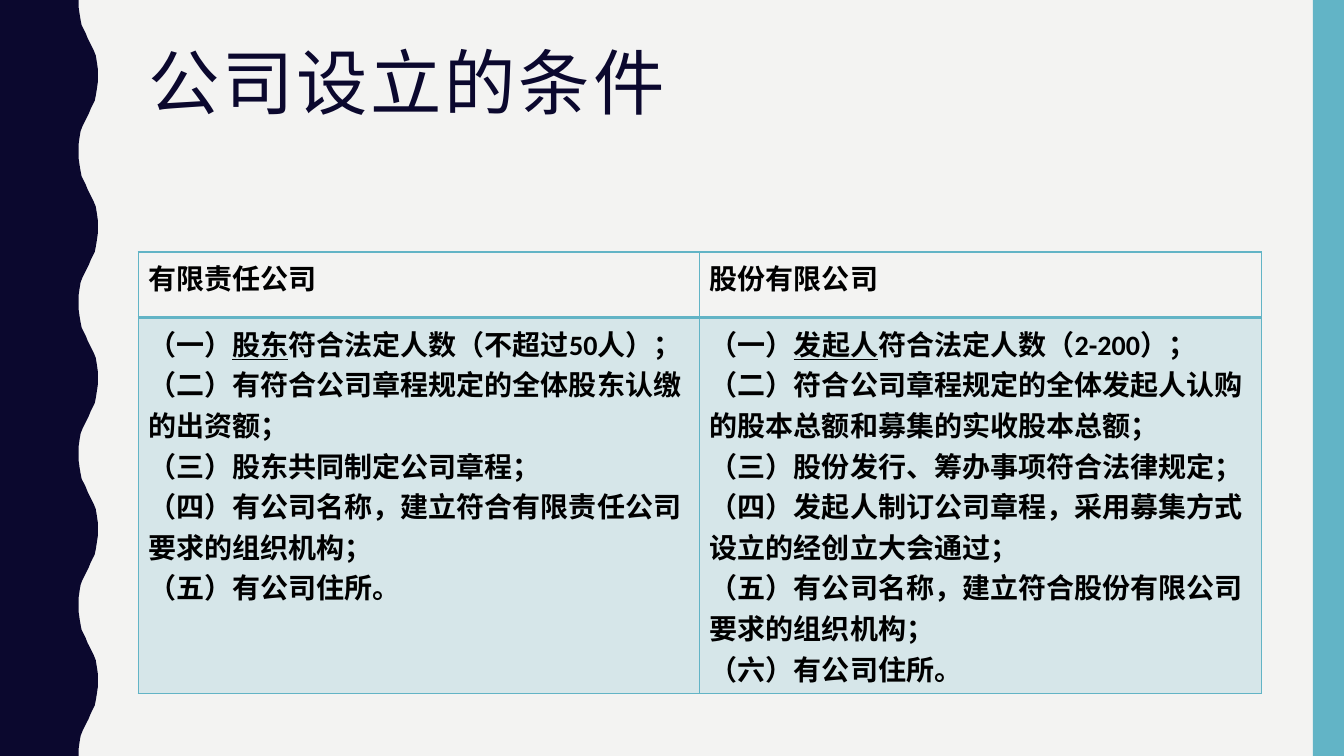
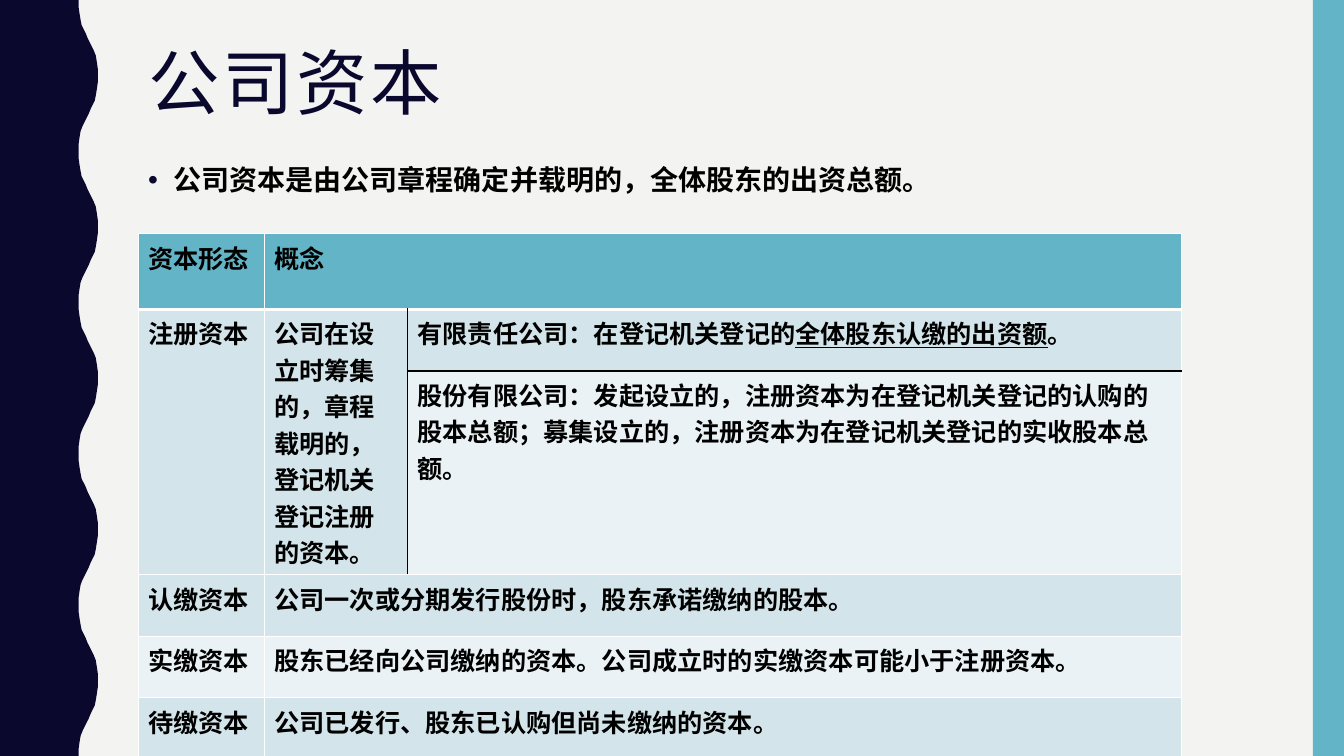
from lxml import etree
from pptx import Presentation
from pptx import util as u
from pptx.dml.color import RGBColor
from pptx.enum import shapes, text
from pptx.oxml.ns import qn

PX = 9144  # EMU per px, at 100 px to the inch
SLIDE_W, SLIDE_H = 1333, 750

NAVY, TEAL, PAPER = "0B082E", "62B4C6", "F3F3F2"
BLACK, WHITE = "000000", "FFFFFF"
BAND_DARK, BAND_LIGHT = "D3E5EA", "EAF2F5"
TITLE_FONT, BODY_FONT = "Roboto Condensed", "Calibri"

TITLE_BOX = (137, 42, 1113, 163)
BODY_BOX = (137, 153, 1113, 393)
# Half a wave of the left band: (distance from the trough, distance down)
HALF_WAVE = [(0, 0), (0, 7), (1, 14), (2, 20), (3, 25), (5, 29), (7, 33), (9, 38),
             (11, 42), (13, 46), (15, 50), (17, 55), (18, 61), (19, 68)]
HALF_LENGTH, TROUGH, CREST = 75, 78, 97

# Text between bars is underlined
CONDITIONS = [
    [["有限责任公司"], ["股份有限公司"]],
    [["（一）|股东|符合法定人数（不超过50人）；",
      "（二）有符合公司章程规定的全体股东认缴的出资额；",
      "（三）股东共同制定公司章程；",
      "（四）有公司名称，建立符合有限责任公司要求的组织机构；",
      "（五）有公司住所。"],
     ["（一）|发起人|符合法定人数（2-200）；",
      "（二）符合公司章程规定的全体发起人认购的股本总额和募集的实收股本总额；",
      "（三）股份发行、筹办事项符合法律规定；",
      "（四）发起人制订公司章程，采用募集方式设立的经创立大会通过；",
      "（五）有公司名称，建立符合股份有限公司要求的组织机构；",
      "（六）有公司住所。"]],
]
CAPITAL_FORMS = [
    [["资本形态"], ["概念"], None],
    [["注册资本"], ["公司在设立时筹集的，章程载明的，登记机关登记注册的资本。"],
     ["有限责任公司：在登记机关登记的|全体股东认缴的出资额|。"]],
    [None, None, ["股份有限公司：发起设立的，注册资本为在登记机关登记的认购的股本总额；"
                  "募集设立的，注册资本为在登记机关登记的实收股本总额。"]],
    [["认缴资本"], ["公司一次或分期发行股份时，股东承诺缴纳的股本。"], None],
    [["实缴资本"], ["股东已经向公司缴纳的资本。公司成立时的实缴资本可能小于注册资本。"], None],
    [["待缴资本"], ["公司已发行、股东已认购但尚未缴纳的资本。"], None],
]


def px(*lengths):
    return [u.Emu(length * PX) for length in lengths]


def rgb(hex_colour):
    return RGBColor.from_string(hex_colour)


def paint(shape, colour):
    shape.shadow.inherit = False
    shape.fill.solid()
    shape.fill.fore_color.rgb = rgb(colour)
    shape.line.fill.background()


def add_run(paragraph, words, size, font=BODY_FONT, colour=BLACK, bold=True, underline=False):
    run = paragraph.add_run()
    run.text = words
    run.font.size = u.Pt(size)
    run.font.name = font
    run.font.bold = bold
    run.font.color.rgb = rgb(colour)
    if underline:
        run.font.underline = True
    return run


def add_paragraphs(frame, paragraphs, size):
    for index, marked in enumerate(paragraphs):
        paragraph = frame.add_paragraph() if index else frame.paragraphs[0]
        for part, words in enumerate(marked.split("|")):
            add_run(paragraph, words, size, underline=part % 2 == 1)


def decorate_master(master, slide):
    """Draw the wavy band and the side strip, and hand them to the master."""
    master.background.fill.solid()
    master.background.fill.fore_color.rgb = rgb(PAPER)

    edge = []
    for half in range(SLIDE_H // HALF_LENGTH):
        for out, down in HALF_WAVE:
            x = CREST - out if half % 2 else TROUGH + out
            edge.append((x, half * HALF_LENGTH + down))
    outline = slide.shapes.build_freeform(0, 0, scale=PX)
    outline.add_line_segments(edge + [(TROUGH, SLIDE_H), (0, SLIDE_H)], close=True)
    wave = outline.convert_to_shape()
    strip = slide.shapes.add_shape(shapes.MSO_SHAPE.RECTANGLE, *px(1302, 0, 31, SLIDE_H))
    for position, (band, colour) in enumerate([(wave, NAVY), (strip, TEAL)], start=2):
        paint(band, colour)
        master.shapes.element.insert(position, band.element)


def place(placeholder, box):
    placeholder.left, placeholder.top, placeholder.width, placeholder.height = px(*box)
    frame = placeholder.text_frame
    frame.auto_size = text.MSO_AUTO_SIZE.NONE
    frame.vertical_anchor = text.MSO_ANCHOR.TOP
    frame.word_wrap = True
    paragraph = frame.paragraphs[0]
    paragraph.alignment = text.PP_ALIGN.LEFT
    paragraph.space_before = u.Pt(0)
    return paragraph


def set_title(slide, words):
    paragraph = place(slide.shapes.title, TITLE_BOX)
    paragraph.line_spacing = 0.9
    run = add_run(paragraph, words, 51, TITLE_FONT, NAVY, bold=False)
    run.font._element.set("spc", "200")


def set_bullet(slide, words):
    paragraph = place(slide.placeholders[1], BODY_BOX)
    properties = paragraph._p.get_or_add_pPr()
    properties.set("marL", str(25 * PX))
    properties.set("indent", str(-25 * PX))
    colour = etree.SubElement(properties, qn("a:buClr"))
    etree.SubElement(colour, qn("a:srgbClr"), val=NAVY)
    etree.SubElement(properties, qn("a:buFont"), typeface="Arial")
    etree.SubElement(properties, qn("a:buChar"), char="•")
    paragraph.line_spacing = 1.1
    add_run(paragraph, words, 20)


def style_cell(cell, fill, edges, opacity=100):
    """Set borders, given as {side: (colour, points)} with sides L, R, T, B, then the fill."""
    properties = cell._tc.get_or_add_tcPr()
    for side in "LRTB":
        colour, points = edges[side]
        line = etree.SubElement(properties, qn("a:ln" + side), w=str(u.Pt(points)))
        solid = etree.SubElement(line, qn("a:solidFill"))
        etree.SubElement(solid, qn("a:srgbClr"), val=colour)
    if fill is None:
        cell.fill.background()
        return
    cell.fill.solid()
    cell.fill.fore_color.rgb = rgb(fill)
    if opacity < 100:
        colour = properties.find(qn("a:solidFill")).find(qn("a:srgbClr"))
        etree.SubElement(colour, qn("a:alpha"), val=str(opacity * 1000))


def add_text_table(slide, corner, widths, heights, content, size):
    frame = slide.shapes.add_table(len(heights), len(widths),
                                   *px(*corner, sum(widths), sum(heights)))
    table = frame.table
    table.first_row = table.horz_banding = False
    for column, width in zip(table.columns, px(*widths)):
        column.width = width
    for row, height in zip(table.rows, px(*heights)):
        row.height = height
    for r, row in enumerate(content):
        for c, paragraphs in enumerate(row):
            if paragraphs:
                add_paragraphs(table.cell(r, c).text_frame, paragraphs, size)
    return table


def conditions_slide(slide):
    set_title(slide, "公司设立的条件")
    table = add_text_table(slide, (137, 250), [557, 557], [65, 355], CONDITIONS, 20)
    edges = dict.fromkeys("LRTB", (TEAL, 1))
    for c in range(2):
        style_cell(table.cell(0, c), None, {**edges, "B": (TEAL, 2)})
        style_cell(table.cell(1, c), TEAL, edges, opacity=20)


def capital_slide(slide):
    set_title(slide, "公司资本")
    set_bullet(slide, "公司资本是由公司章程确定并载明的，全体股东的出资总额。")
    table = add_text_table(slide, (137, 232), [125, 142, 768], [75, 61, 100, 61, 61, 61],
                           CAPITAL_FORMS, 18)
    black_sides = {(1, 1): "R", (2, 1): "R", (1, 2): "LB", (2, 2): "LT"}
    row_fills = [TEAL, BAND_DARK, BAND_LIGHT, BAND_DARK, BAND_LIGHT, BAND_DARK]
    for r, fill in enumerate(row_fills):
        for c in range(3):
            edges = dict.fromkeys("LRTB", (WHITE, 1))
            if r == 0:
                edges["B"] = (WHITE, 3)
            edges.update(dict.fromkeys(black_sides.get((r, c), ""), (BLACK, 1)))
            style_cell(table.cell(r, c), fill, edges)
    for r in (0, 3, 4, 5):
        table.cell(r, 1).merge(table.cell(r, 2))
    for c in (0, 1):
        table.cell(1, c).merge(table.cell(2, c))


def main():
    deck = Presentation()
    deck.slide_width, deck.slide_height = px(SLIDE_W, SLIDE_H)
    title_only, title_and_body = deck.slide_layouts[5], deck.slide_layouts[1]
    first = deck.slides.add_slide(title_only)
    decorate_master(deck.slide_master, first)
    conditions_slide(first)
    capital_slide(deck.slides.add_slide(title_and_body))
    deck.save("out.pptx")


if __name__ == "__main__":
    main()
